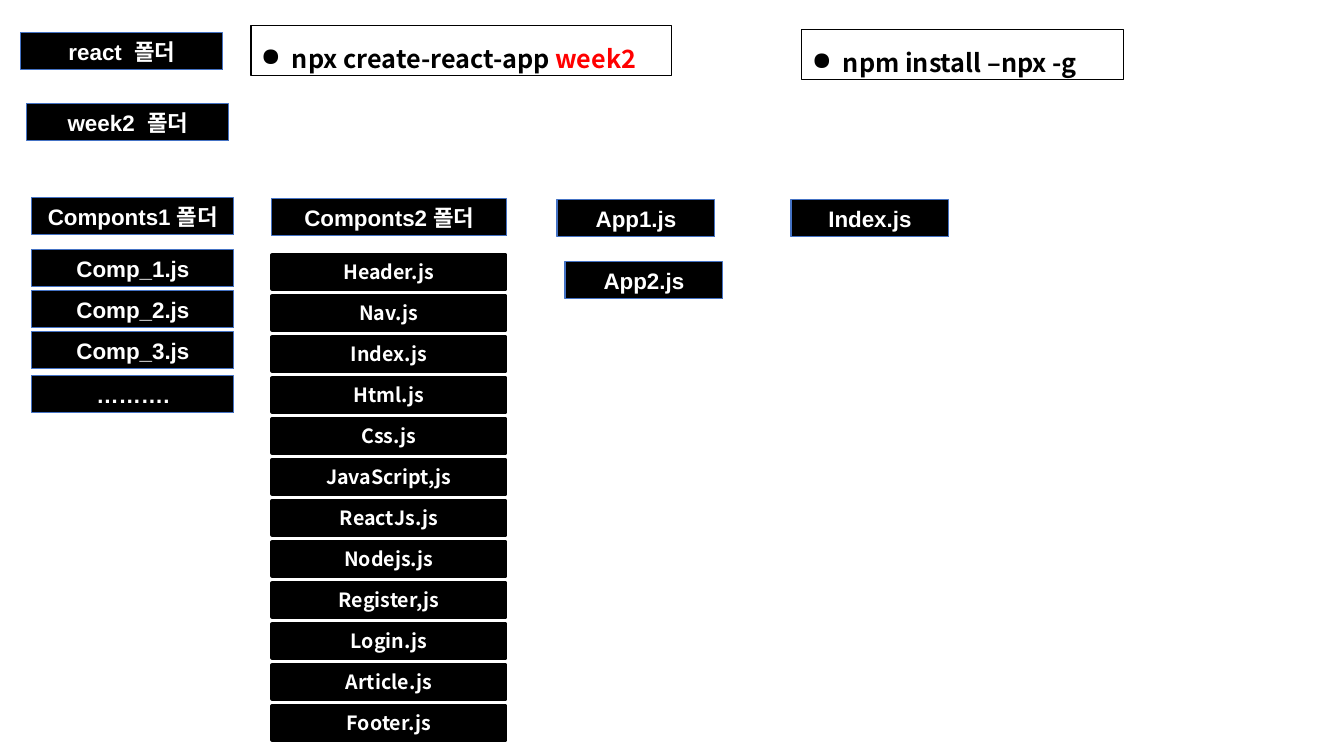
from typing import NamedTuple

from lxml import etree
from pptx import Presentation
from pptx.dml.color import RGBColor
from pptx.enum.shapes import MSO_SHAPE
from pptx.enum.text import MSO_ANCHOR, PP_ALIGN
from pptx.oxml.ns import qn
from pptx.util import Emu, Pt

RECTANGLE = MSO_SHAPE.RECTANGLE
MIDDLE = MSO_ANCHOR.MIDDLE
CENTER, LEFT = PP_ALIGN.CENTER, PP_ALIGN.LEFT

BLACK = RGBColor(0x00, 0x00, 0x00)
WHITE = RGBColor(0xFF, 0xFF, 0xFF)
RED = RGBColor(0xFF, 0x00, 0x00)
BLUE = RGBColor(0x44, 0x72, 0xC4)

EMU_PER_PIXEL = 914400 / 100.8
KOREAN_FONT = "Noto Sans CJK KR"
ROW_PITCH = 41
BULLET_INDENT = 31


class Style(NamedTuple):
    font: str
    size: int
    height: int
    line: RGBColor
    line_width: float
    fill: RGBColor | None = BLACK
    color: RGBColor = WHITE
    align: PP_ALIGN = CENTER


class Box(NamedTuple):
    text: str
    left: int
    top: int
    width: int
    style: Style
    highlight: str = ""


LABEL = Style("Arial", 16, 37, BLUE, 0.75)
COMPONENT = Style(KOREAN_FONT, 14, 34, BLACK, 2.25)
COMMAND = Style(KOREAN_FONT, 18, 50, BLACK, 0.75, None, BLACK, LEFT)


def px(pixels: float) -> Emu:
    return Emu(round(pixels * EMU_PER_PIXEL))


def add_bullet(paragraph) -> None:
    properties = paragraph._p.get_or_add_pPr()
    properties.set("marL", str(px(BULLET_INDENT)))
    properties.set("indent", str(-px(BULLET_INDENT)))
    bullet = etree.Element(qn("a:buChar"), char="●")
    properties.find(qn("a:lnSpc")).addnext(bullet)


def add_box(slide, box: Box) -> None:
    style = box.style
    shape = slide.shapes.add_shape(
        RECTANGLE, px(box.left), px(box.top), px(box.width), px(style.height))
    shape.shadow.inherit = False
    if style.fill is None:
        shape.fill.background()
    else:
        shape.fill.solid()
        shape.fill.fore_color.rgb = style.fill
    shape.line.color.rgb = style.line
    shape.line.width = Pt(style.line_width)

    frame = shape.text_frame
    frame.word_wrap = True
    frame.vertical_anchor = MIDDLE
    paragraph = frame.paragraphs[0]
    paragraph.alignment = style.align
    font = paragraph.font
    font.name, font.size, font.bold = style.font, Pt(style.size), True
    font.color.rgb = style.color
    latin = paragraph._p.pPr.find(qn("a:defRPr")).find(qn("a:latin"))
    latin.addnext(etree.Element(qn("a:ea"), typeface=KOREAN_FONT))
    paragraph.add_run().text = box.text
    if box.highlight:
        run = paragraph.add_run()
        run.text = box.highlight
        run.font.color.rgb = RED
    if style is COMMAND:
        paragraph.line_spacing = 1.5
        add_bullet(paragraph)


presentation = Presentation()
presentation.slide_width, presentation.slide_height = px(1344), px(756)
slide = presentation.slides.add_slide(presentation.slide_layouts[6])

# Project folders, component folders and app files
labels = [
    Box("react  폴더", 21, 33, 202, LABEL),
    Box("week2  폴더", 27, 104, 202, LABEL),
    Box("Componts1 폴더", 32, 198, 202, LABEL),
    Box("Componts2 폴더", 272, 199, 235, LABEL),
    Box("App1.js", 557, 200, 158, LABEL),
    Box("App2.js", 565, 262, 158, LABEL),
    Box("Index.js", 791, 200, 158, LABEL),
    Box("……….", 32, 376, 202, LABEL),
]

# Files of the first component folder
first_files = [
    Box(f"Comp_{number + 1}.js", 32, 250 + number * ROW_PITCH, 202, LABEL)
    for number in range(3)
]

# Files of the second component folder
second_names = ["Header.js", "Nav.js", "Index.js", "Html.js", "Css.js",
                "JavaScript,js", "ReactJs.js", "Nodejs.js", "Register,js",
                "Login.js", "Article.js", "Footer.js"]
second_files = [
    Box(name, 272, 255 + row * ROW_PITCH, 234, COMPONENT)
    for row, name in enumerate(second_names)
]

# Shell commands
commands = [
    Box("npx create-react-app ", 251, 26, 421, COMMAND, "week2"),
    Box("npm install –npx -g", 802, 30, 322, COMMAND),
]

for item in labels + first_files + second_files + commands:
    add_box(slide, item)

presentation.save("out.pptx")
